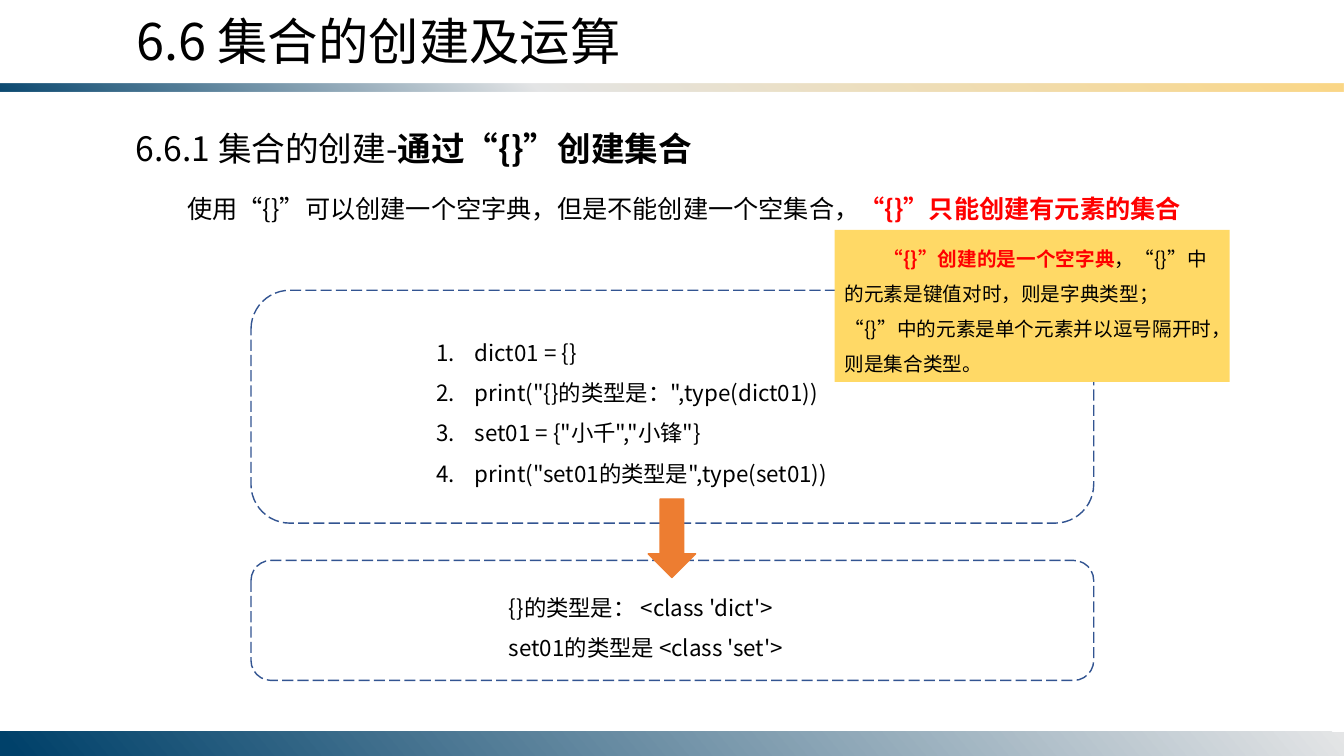
from lxml.etree import SubElement as Sub
from pptx import Presentation
from pptx.dml.color import RGBColor as Rgb
from pptx.enum.dml import MSO_LINE as Dash
from pptx.enum.shapes import MSO_SHAPE as Kind
from pptx.enum.text import MSO_ANCHOR as Anchor, MSO_AUTO_SIZE as Fit, PP_ALIGN as Align
from pptx.oxml.ns import qn
from pptx.util import Inches, Pt

WIDE, HIGH = Inches(13.333), Inches(7.5)
FONT = "Noto Sans CJK SC"
HEX = {
    "ink": "000000", "red": "FF0000", "navy": "00416A", "mist": "E4E5E6",
    "sand": "FBD786", "frame": "325491", "arrow": "ED7D31", "note": "FFD966",
}


def color(name):
    return Rgb.from_string(HEX[name])


def area(x, y, w, h):
    """Turn percent shares of the slide into lengths."""
    return [int(side * share / 100)
            for side, share in zip((WIDE, HIGH, WIDE, HIGH), (x, y, w, h))]


def move(item, spot):
    item.left, item.top, item.width, item.height = area(*spot)
    return item


def write(item, lines, size, gap=1.0, indent=0, hang=0):
    """Each line is a list of (text, color, bold) runs; hang numbers the lines."""
    frame = item.text_frame
    frame.word_wrap = True
    frame.auto_size = Fit.SHAPE_TO_FIT_TEXT
    frame.vertical_anchor = Anchor.TOP
    for i, line in enumerate(lines):
        para = frame.add_paragraph() if i else frame.paragraphs[0]
        para.alignment = Align.LEFT
        para.line_spacing = gap
        para.space_before = Pt(0)
        prop = para._p.get_or_add_pPr()
        prop.set("marL", str(Inches(hang)))
        prop.set("indent", str(Inches(indent - hang)))
        if hang:
            Sub(prop, qn("a:buFont"), typeface=FONT)
            Sub(prop, qn("a:buAutoNum"), type="arabicPeriod")
        for text, tint, bold in line:
            run = para.add_run()
            run.text = text
            font = run.font
            font.size, font.name, font.bold = Pt(size), FONT, bold
            font.color.rgb = color(tint)
            mark = run._r.get_or_add_rPr()
            mark.set("lang", "zh-CN")
            Sub(mark, qn("a:ea"), typeface=FONT)


def plain(*texts):
    return [[(text, "ink", False)] for text in texts]


def label(slide, spot, lines, size, **form):
    write(slide.shapes.add_textbox(*area(*spot)), lines, size, **form)


def draw(slide, kind, spot, fill=None, line=None, dash=None):
    item = slide.shapes.add_shape(kind, *area(*spot))
    item.shadow.inherit = False
    if fill:
        item.fill.solid()
        item.fill.fore_color.rgb = color(fill)
    else:
        item.fill.background()
    if line:
        item.line.color.rgb = color(line)
        item.line.width = Pt(1)
        item.line.dash_style = dash
    else:
        item.line.fill.background()
    return item


def band(slide, spot, stops, angle):
    """Stops are (percent, color, opacity) triples."""
    item = draw(slide, Kind.RECTANGLE, spot)
    item.fill.gradient()
    grad = item._element.spPr.find(qn("a:gradFill"))
    steps = grad.find(qn("a:gsLst"))
    steps.clear()
    for pos, name, clear in stops:
        step = Sub(steps, qn("a:gs"), pos=str(pos * 1000))
        tint = Sub(step, qn("a:srgbClr"), val=HEX[name])
        Sub(tint, qn("a:alpha"), val=str(clear * 1000))
    lin = grad.find(qn("a:lin"))
    lin.set("ang", str(angle * 60000))
    lin.set("scaled", "0")


def main():
    deck = Presentation()
    deck.slide_width, deck.slide_height = WIDE, HIGH
    slide = deck.slides.add_slide(deck.slide_layouts[1])
    title, code = slide.placeholders

    # Bands above and below the content
    band(slide, (0, 11.07, 100, 1.07),
         [(0, "navy", 95), (40, "mist", 100), (100, "sand", 100)], 310)
    band(slide, (0, 96.8, 100, 3.2),
         [(0, "mist", 100), (99, "navy", 100)], 140)

    # Headings and lead sentence
    write(move(title, (9.38, 0.67, 45.9, 9.47)), plain("6.6 集合的创建及运算"), 36)
    label(slide, (9.38, 16.27, 59.93, 6.67),
          [[("6.6.1 集合的创建-", "ink", False),
            ("通过“{}”创建集合", "ink", True)]], 24)
    label(slide, (9.45, 22.93, 81.08, 7.33),
          [[("使用“{}”可以创建一个空字典，但是不能创建一个空集合，", "ink", False),
            ("“{}”只能创建有元素的集合", "red", True)]], 18, gap=1.5, indent=0.5)

    # Code and its output, each in a dashed frame
    write(move(code, (31.73, 42.4, 36.53, 22.93)),
          plain('dict01 = {}',
                'print("{}的类型是：",type(dict01))',
                'set01 = {"小千","小锋"}',
                'print("set01的类型是",type(set01))'), 16, gap=1.5, hang=0.38)
    label(slide, (37.13, 76.13, 25.8, 12.13),
          plain("{}的类型是： <class 'dict'>", "set01的类型是 <class 'set'>"),
          16, gap=1.5)
    for top, tall in ((38.4, 30.8), (74.13, 15.87)):
        draw(slide, Kind.ROUNDED_RECTANGLE, (18.68, top, 62.7, tall),
             line="frame", dash=Dash.LONG_DASH)
    draw(slide, Kind.DOWN_ARROW, (48.23, 66, 3.53, 10.4), "arrow", "arrow")

    # Note over the code frame
    note = draw(slide, Kind.RECTANGLE, (62.1, 30.4, 29.4, 20.13), "note")
    write(note, [[("“{}”创建的是一个空字典", "red", True),
                  ("，“{}”中的元素是键值对时，则是字典类型；"
                   "“{}”中的元素是单个元素并以逗号隔开时，则是集合类型。",
                   "ink", False)]], 14, gap=1.5, indent=0.39)

    deck.save("out.pptx")


if __name__ == "__main__":
    main()
